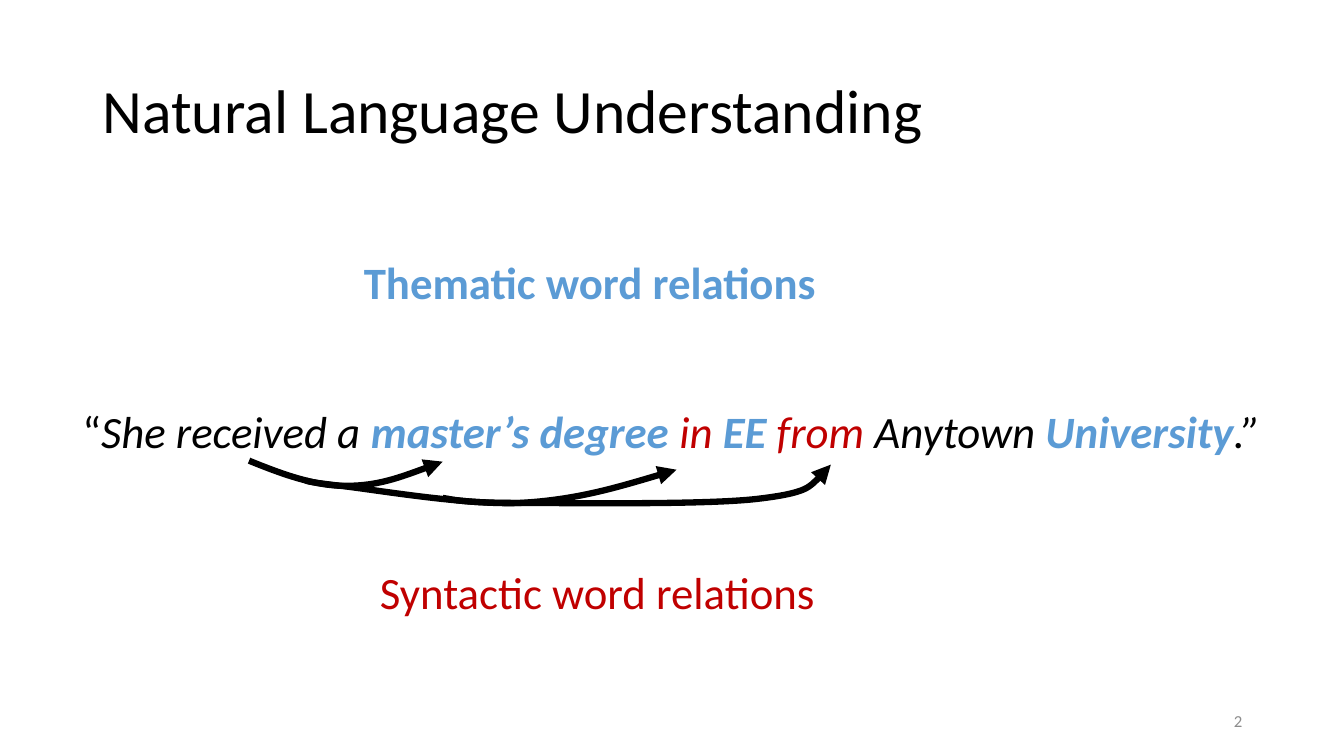
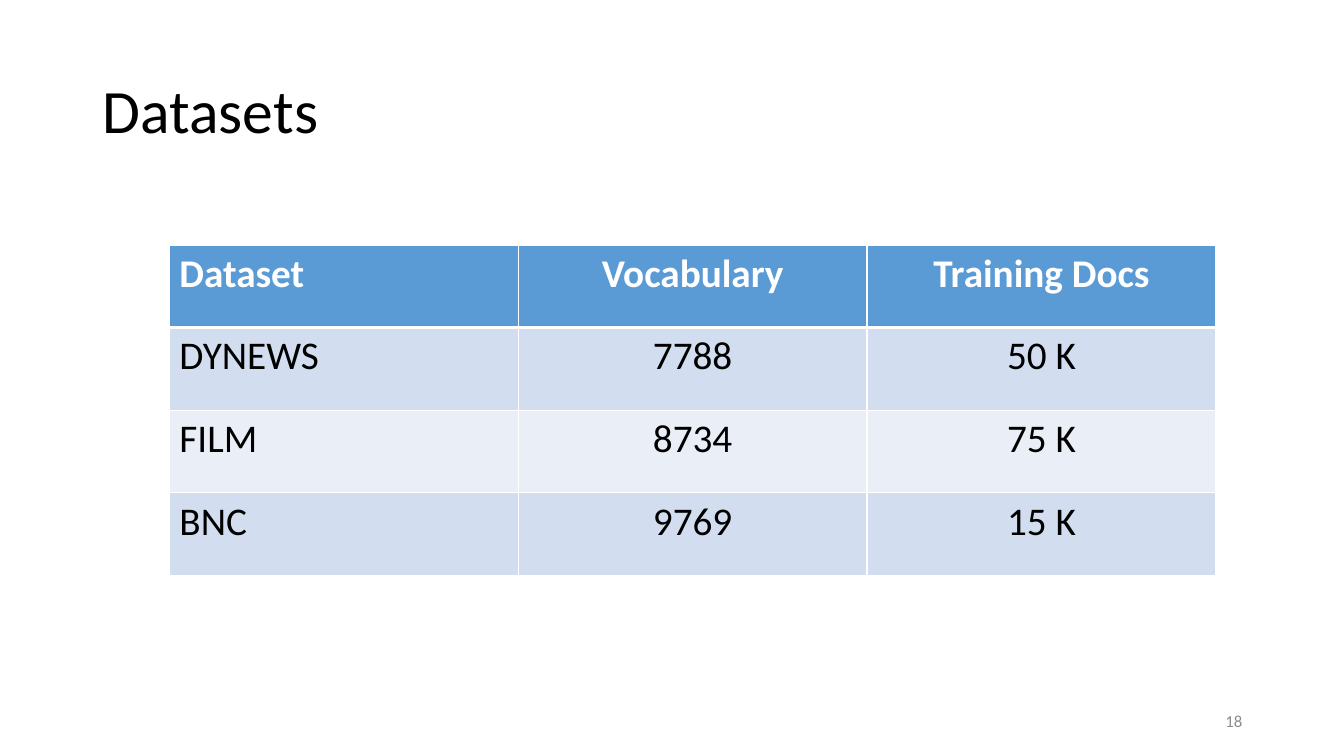
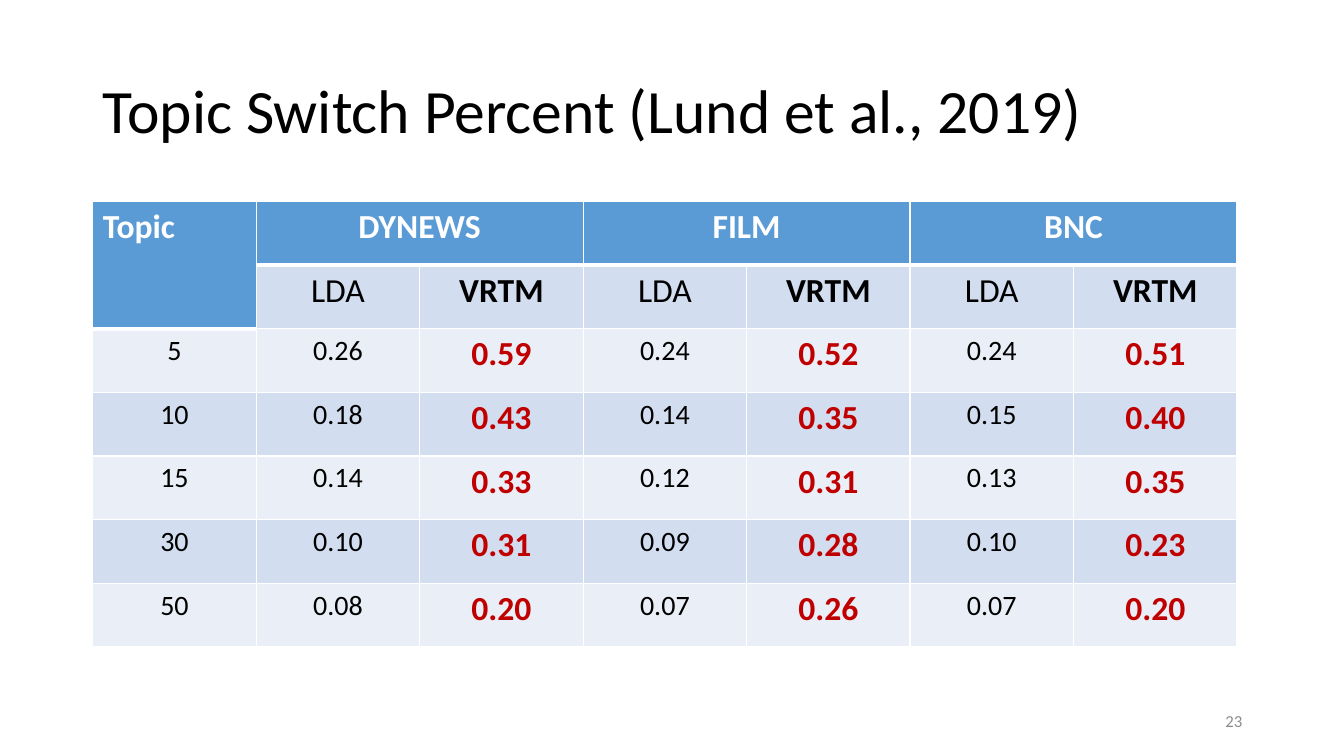
"""Build three slides on word relations, datasets and topic switches."""
import lxml.etree
import pptx
import pptx.dml.color
import pptx.enum.text
import pptx.oxml.ns
import pptx.util

Inches = pptx.util.Inches
Pt = pptx.util.Pt
qn = pptx.oxml.ns.qn
Align = pptx.enum.text.PP_ALIGN
Anchor = pptx.enum.text.MSO_ANCHOR

HUES = {
    "black": "000000",
    "white": "FFFFFF",
    "blue": "5B9BD5",
    "red": "C00000",
    "gray": "8C8C8C",
    "dark": "D2DEEF",
    "light": "EAEFF7",
}


def color(hue):
    return pptx.dml.color.RGBColor.from_string(HUES[hue])


class Deck:
    face = "Calibri"

    def __init__(self):
        self.show = pptx.Presentation()
        self.show.slide_width = Inches(13.33)
        self.show.slide_height = Inches(7.5)

    def page(self, title, number):
        self.slide = self.show.slides.add_slide(self.show.slide_layouts[6])
        self.text((0.92, 0.4, 11.5, 1.45), title, 44, anchor=Anchor.MIDDLE, space=0.9)
        self.text((9.42, 6.95, 3, 0.4), str(number), 12, "gray",
                  align=Align.RIGHT, anchor=Anchor.MIDDLE)

    def font(self, font, size, hue, bold=False):
        font.name = self.face
        font.size = Pt(size)
        font.bold = bold
        font.color.rgb = color(hue)

    def text(self, box, words, size, hue="black", bold=False,
             align=Align.LEFT, anchor=Anchor.TOP, space=None):
        frame = self.slide.shapes.add_textbox(*map(Inches, box)).text_frame
        frame.word_wrap = True
        frame.vertical_anchor = anchor
        para = frame.paragraphs[0]
        para.alignment = align
        para.line_spacing = space
        if isinstance(words, str):
            para.text = words
            self.font(para.font, size, hue, bold)
            return
        for part, tint, strong, slant in words:
            run = para.add_run()
            run.text = part
            self.font(run.font, size, tint, strong)
            run.font.italic = slant

    def curve(self, *points):
        start, *rest = [(Inches(x), Inches(y)) for x, y in points]
        build = self.slide.shapes.build_freeform(*start)
        build.add_line_segments(rest, close=False)
        shape = build.convert_to_shape()
        shape.shadow.inherit = False
        shape.fill.background()
        shape.line.color.rgb = color("black")
        shape.line.width = Pt(4.5)
        lines = list(shape._element.iter(qn("a:lnTo")))
        for first in range(0, len(lines), 3):
            bend = lxml.etree.SubElement(lines[first].getparent(), qn("a:cubicBezTo"))
            for line in lines[first:first + 3]:
                bend.append(line[0])
                line.getparent().remove(line)
        tail = lxml.etree.SubElement(shape.line._get_or_add_ln(), qn("a:tailEnd"))
        tail.set("type", "triangle")

    def edge(self, cell, side, width):
        line = lxml.etree.SubElement(cell._tc.get_or_add_tcPr(), qn("a:ln" + side))
        line.set("w", str(Pt(width)))
        fill = lxml.etree.SubElement(line, qn("a:solidFill"))
        lxml.etree.SubElement(fill, qn("a:srgbClr")).set("val", HUES["white"])

    def table(self, box, rows, look):
        high, wide = len(rows), len(rows[0])
        grid = self.slide.shapes.add_table(high, wide, *map(Inches, box)).table
        for col in grid.columns:
            col.width = Inches(box[2] / wide)
        for row in grid.rows:
            row.height = Inches(box[3] / high)
        for i, row in enumerate(rows):
            for j, word in enumerate(row):
                cell = grid.cell(i, j)
                for side in "LRTB":
                    thick = (side, i) in (("B", 0), ("T", 1))
                    self.edge(cell, side, 3 if thick else 1)
                cell.fill.solid()
                band = "dark" if i % 2 else "light"
                cell.fill.fore_color.rgb = color(band if i else "blue")
                para = cell.text_frame.paragraphs[0]
                para.text = word
                size, hue, bold, align = look(i, j)
                self.font(para.font, size, hue, bold)
                para.alignment = align
        return grid


def plain(i, j):
    align = Align.CENTER if j else Align.LEFT
    return 28, "black" if i else "white", i == 0, align


def score(i, j):
    if i == 0:
        return 24, "white", True, Align.CENTER if j else Align.LEFT
    ours = j > 0 and j % 2 == 0
    if i == 1:
        return 24, "black", ours, Align.CENTER
    return 24 if ours else 20, "red" if ours else "black", ours, Align.CENTER


deck = Deck()

deck.page("Natural Language Understanding", 2)
deck.text((0.09, 4.02, 13.24, 0.6), [
    ("“", "black", False, False),
    ("She received a ", "black", False, True),
    ("master’s degree ", "blue", True, True),
    ("in ", "red", False, True),
    ("EE ", "blue", True, True),
    ("from", "red", False, True),
    (" Anytown ", "black", False, True),
    ("University", "blue", True, True),
    (".” ", "black", False, True),
], 32, align=Align.CENTER, space=0.9)
deck.text((3.51, 2.48, 6.13, 0.64), "Thematic word relations", 32, "blue", True)
deck.text((3.43, 5.55, 4.99, 0.64), "Syntactic word relations", 32, "red",
          align=Align.CENTER)
deck.curve((2.47, 4.57), (2.79, 4.7), (3.11, 4.82), (3.43, 4.82),
           (3.75, 4.82), (4.07, 4.7), (4.39, 4.58))
deck.curve((3.03, 4.76), (3.03, 4.77), (3.03, 4.78), (3.38, 4.82),
           (3.73, 4.86), (4.6, 5.01), (5.15, 4.99),
           (5.71, 4.96), (6.21, 4.81), (6.71, 4.66))
deck.curve((4.39, 4.94), (4.51, 4.96), (4.62, 4.99), (5.14, 4.99),
           (5.66, 4.99), (6.99, 5.01), (7.51, 4.95),
           (8.02, 4.89), (8.13, 4.75), (8.24, 4.61))

deck.page("Datasets", 18)
deck.table((1.68, 2.43, 10.38, 3.28), [
    ("Dataset", "Vocabulary", "Training Docs"),
    ("DYNEWS", "7788", "50 K"),
    ("FILM", "8734", "75 K"),
    ("BNC", "9769", "15 K"),
], plain)

deck.page("Topic Switch Percent (Lund et al., 2019)", 23)
grid = deck.table((0.92, 2, 11.35, 4.42), [
    ("Topic", "DYNEWS", "", "FILM", "", "BNC", ""),
    ("",) + ("LDA", "VRTM") * 3,
    ("5", "0.26", "0.59", "0.24", "0.52", "0.24", "0.51"),
    ("10", "0.18", "0.43", "0.14", "0.35", "0.15", "0.40"),
    ("15", "0.14", "0.33", "0.12", "0.31", "0.13", "0.35"),
    ("30", "0.10", "0.31", "0.09", "0.28", "0.10", "0.23"),
    ("50", "0.08", "0.20", "0.07", "0.26", "0.07", "0.20"),
], score)
grid.cell(0, 0).merge(grid.cell(1, 0))
for j in (1, 3, 5):
    grid.cell(0, j).merge(grid.cell(0, j + 1))

deck.show.save("out.pptx")
